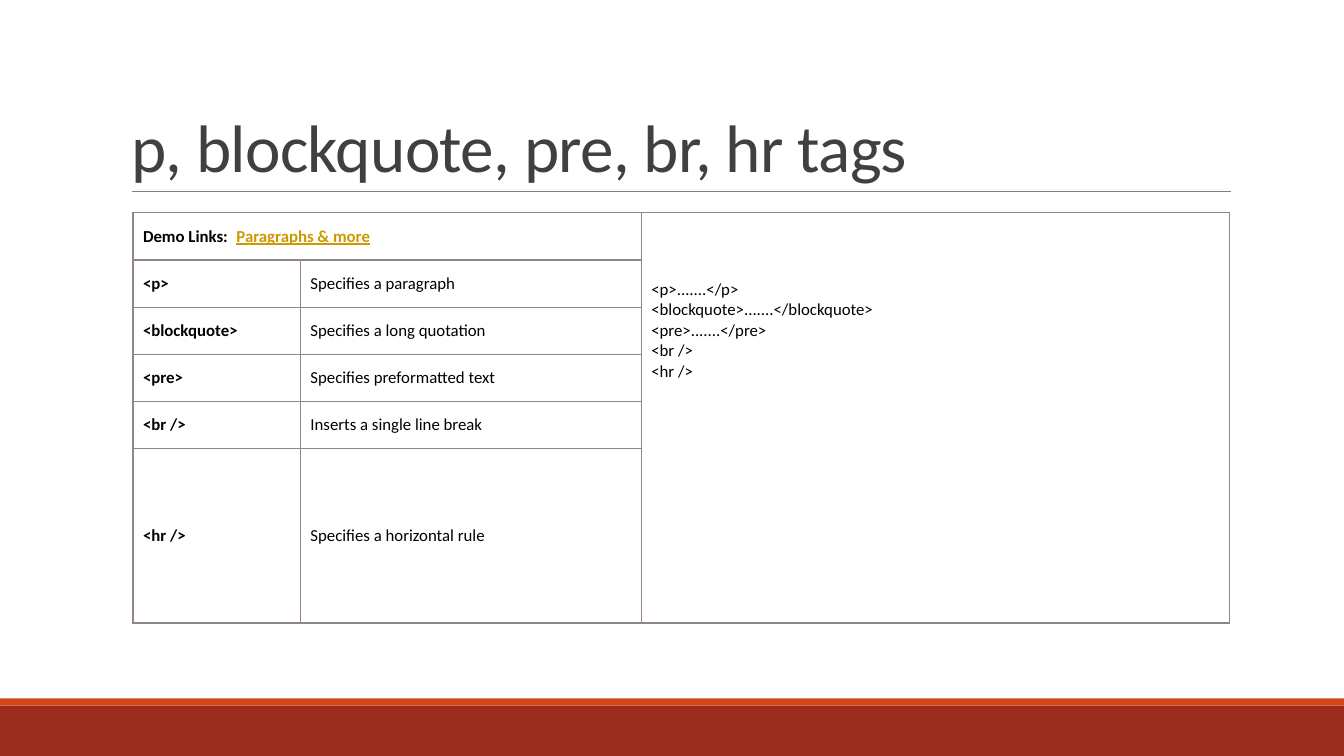
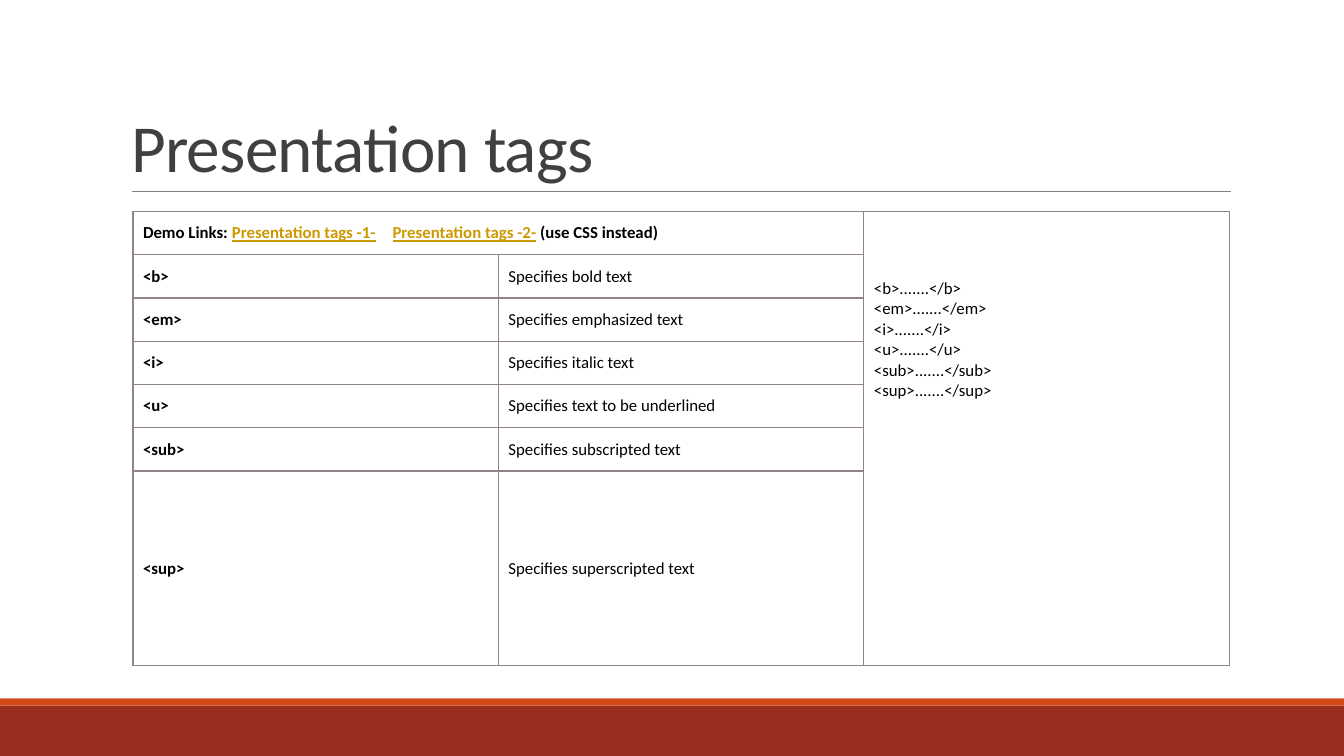
from pptx import Presentation
from pptx import util as u
from pptx.dml.color import RGBColor
from pptx.enum import shapes, text
from pptx.oxml.ns import qn
from lxml import etree

Cm, Pt = u.Cm, u.Pt
FONT = "Calibri"
COLORS = {
    "band": "9B2D1F",
    "accent": "D34817",
    "rule": "808080",
    "title": "404040",
    "text": "000000",
    "link": "CC9900",
    "border": "918485",
}
WIDTH, HEIGHT = 33.87, 19.05
TABLE_LEFT = 3.35
CODE_TOP = 1.68  # inset that starts the code three lines down


def rgb(name):
    return RGBColor.from_string(COLORS[name])


def set_font(font, size, color, bold=False):
    font.name = FONT
    font.size = Pt(size)
    font.bold = bold
    font.color.rgb = rgb(color)


# Shared slide parts
def add_band(s, top, height, color):
    sp = s.shapes.add_shape(shapes.MSO_SHAPE.RECTANGLE,
                            0, Cm(top), Cm(WIDTH), Cm(height))
    sp.shadow.inherit = False
    sp.fill.solid()
    sp.fill.fore_color.rgb = rgb(color)
    sp.line.fill.background()


def add_rule(s, left, right, y):
    line = s.shapes.add_connector(shapes.MSO_CONNECTOR.STRAIGHT,
                                  Cm(left), Cm(y), Cm(right), Cm(y))
    line.line.color.rgb = rgb("rule")
    line.line.width = Pt(0.5)
    etree.SubElement(line.element.spPr, qn("a:effectLst"))


def set_title(s, title):
    sp = s.shapes.title
    sp.left, sp.top, sp.width, sp.height = Cm(3.05), Cm(0.79), Cm(27.94), Cm(4.04)
    tf = sp.text_frame
    tf.text = title
    tf.word_wrap = True
    tf.auto_size = text.MSO_AUTO_SIZE.NONE
    tf.vertical_anchor = text.MSO_ANCHOR.BOTTOM
    p = tf.paragraphs[0]
    p.alignment = text.PP_ALIGN.LEFT
    p.line_spacing = 0.85
    set_font(p.font, 48, "title")
    p.runs[0]._r.get_or_add_rPr().set("spc", "-50")


def add_slide(prs, title):
    s = prs.slides.add_slide(prs.slide_layouts[5])
    add_band(s, 17.78, 1.27, "band")
    add_band(s, 17.6, 0.18, "accent")
    add_rule(s, 3.33, 31.01, 4.83)
    set_title(s, title)
    return s


# Table parts
def format_cell(cell):
    tcPr = cell._tc.get_or_add_tcPr()
    for side in ("lnL", "lnR", "lnT", "lnB"):
        ln = etree.SubElement(tcPr, qn(f"a:{side}"), w=str(Pt(1)))
        fill = etree.SubElement(ln, qn("a:solidFill"))
        etree.SubElement(fill, qn("a:srgbClr"), val=COLORS["border"])
    cell.fill.background()
    cell.vertical_anchor = text.MSO_ANCHOR.MIDDLE


def write_cell(cell, content, bold=False):
    cell.text_frame.text = content
    for p in cell.text_frame.paragraphs:
        set_font(p.font, 12, "text", bold)


def write_links(cell, parts):
    """Write (text, is_link) parts as one bold line."""
    p = cell.text_frame.paragraphs[0]
    set_font(p.font, 12, "text", bold=True)
    for content, is_link in parts:
        r = p.add_run()
        r.text = content
        if is_link:
            r.font.color.rgb = rgb("link")
            r.font.underline = True


def add_tag_table(s, top, widths, row_height, last_height, links, tags, code):
    heights = [row_height] * len(tags) + [last_height]
    table = s.shapes.add_table(len(heights), len(widths), Cm(TABLE_LEFT), Cm(top),
                               Cm(sum(widths)), Cm(sum(heights))).table
    table.first_row = table.horz_banding = False
    for column, width in zip(table.columns, widths):
        column.width = Cm(width)
    for row, height in zip(table.rows, heights):
        row.height = Cm(height)
    for cell in table.iter_cells():
        format_cell(cell)

    # Link row across the first two columns, code down the third
    table.cell(0, 0).merge(table.cell(0, 1))
    table.cell(0, 2).merge(table.cell(len(tags), 2))
    write_links(table.cell(0, 0), links)
    code_cell = table.cell(0, 2)
    write_cell(code_cell, "\n".join(code))
    code_cell.vertical_anchor = text.MSO_ANCHOR.TOP
    code_cell.margin_top = Cm(CODE_TOP)

    for i, (tag, meaning) in enumerate(tags, start=1):
        write_cell(table.cell(i, 0), tag, bold=True)
        write_cell(table.cell(i, 1), meaning)


def paired(name):
    return f"<{name}>.......</{name}>"


def main():
    prs = Presentation()
    prs.slide_width, prs.slide_height = Cm(WIDTH), Cm(HEIGHT)

    # Paragraph tags
    s = add_slide(prs, "p, blockquote, pre, br, hr tags")
    add_tag_table(
        s, 5.36, [4.22, 8.59, 14.83], 1.19, 4.38,
        links=[("Demo Links:\u2002", False), ("Paragraphs & more", True)],
        tags=[
            ("<p>", "Specifies a paragraph"),
            ("<blockquote>", "Specifies a long quotation"),
            ("<pre>", "Specifies preformatted text"),
            ("<br />", "Inserts a single line break"),
            ("<hr />", "Specifies a horizontal rule"),
        ],
        code=[paired(name) for name in ("p", "blockquote", "pre")]
        + ["<br />", "<hr />"])

    # Presentation tags
    meanings = {
        "b": "Specifies bold text",
        "em": "Specifies emphasized text",
        "i": "Specifies italic text",
        "u": "Specifies text to be underlined",
        "sub": "Specifies subscripted text",
        "sup": "Specifies superscripted text",
    }
    s = add_slide(prs, "Presentation tags")
    add_tag_table(
        s, 5.33, [9.21] * 3, 1.09, 4.88,
        links=[
            ("Demo Links: ", False),
            ("Presentation tags -1-", True),
            ("\u2003", False),
            ("Presentation tags -2-", True),
            ("\u00a0(use CSS instead)", False),
        ],
        tags=[(f"<{name}>", meaning) for name, meaning in meanings.items()],
        code=[paired(name) for name in meanings])

    prs.save("out.pptx")


main()
